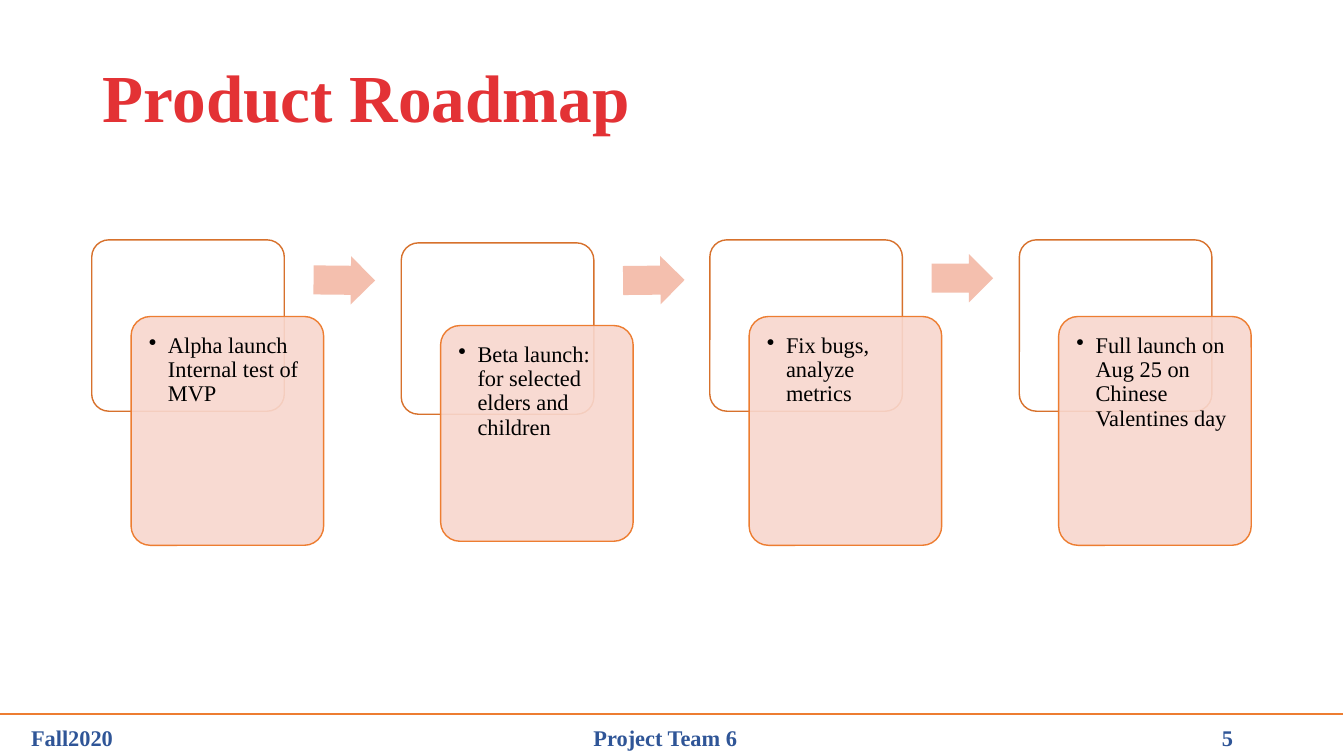
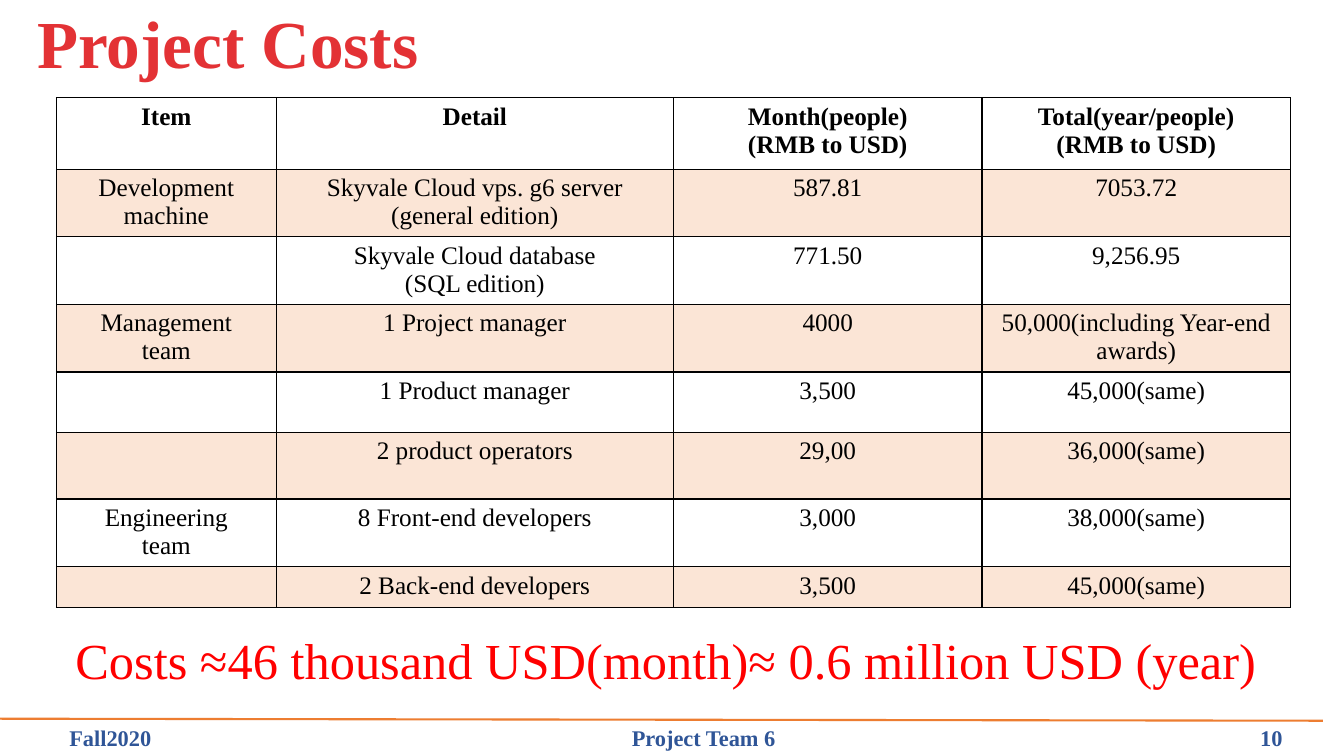
from dataclasses import dataclass

from lxml import etree
from pptx import Presentation
from pptx import util as u
from pptx.dml import color
from pptx.enum import shapes, text
from pptx.oxml import ns

PX = 9144


@dataclass(frozen=True)
class Theme:
    font: str = "Times New Roman"
    title: str = "E33235"
    accent: str = "ED7D31"
    back_line: str = "D7712C"
    card: str = "F8D7CE"
    arrow: str = "F4BFAE"
    footer: str = "2F5597"
    band: str = "FBE5D6"
    emphasis: str = "FF0000"
    ink: str = "000000"
    paper: str = "FFFFFF"
    title_size: int = 48
    total_size: int = 36
    table_size: int = 18
    small_size: int = 16


THEME = Theme()

PHASES = [
    "Alpha launch Internal test of MVP",
    "Beta launch: for selected elders and children",
    "Fix bugs, analyze metrics",
    "Full launch on Aug 25 on Chinese Valentines day",
]
BACK_TOPS = [238, 241, 238, 238]
FRONT_SPANS = [(314, 227), (323, 214), (314, 227), (314, 227)]
ARROWS = [(254, 0.6), (254, -0.6), (252, 0)]

COST_COLUMNS = [218, 394, 306, 306]
COST_HEIGHTS = [71, 65, 65, 65, 60, 66, 65, 41]
COSTS = [
    ["Item", "Detail", "Month(people)\n(RMB to USD)", "Total(year/people)\n(RMB to USD)"],
    ["Development\nmachine", "Skyvale Cloud vps. g6 server\n(general edition)", "587.81", "7053.72"],
    ["", "Skyvale Cloud database\n(SQL edition)", "771.50", "9,256.95"],
    ["Management\nteam", "1 Project manager", "4000", "50,000(including Year-end awards)"],
    ["", "1 Product manager", "3,500", "45,000(same)"],
    ["", "2 product operators", "29,00", "36,000(same)"],
    ["Engineering\nteam", "8 Front-end developers", "3,000", "38,000(same)"],
    ["", "2 Back-end developers", "3,500", "45,000(same)"],
]


def px(*lengths):
    return [u.Emu(length * PX) for length in lengths]


def rgb(value):
    return color.RGBColor.from_string(value)


def child(parent, tag, **attributes):
    element = etree.SubElement(parent, ns.qn(tag))
    for key, value in attributes.items():
        element.set(key, str(value))
    return element


def add_run(paragraph, words, size, ink, bold=False):
    run = paragraph.add_run()
    run.text = words
    run.font.name = THEME.font
    run.font.size = u.Pt(size)
    run.font.bold = bold
    run.font.color.rgb = rgb(ink)


def add_title(slide, words, left, top):
    title = slide.shapes.title
    title.left, title.top, title.width, title.height = px(left, top, 1150, 119)
    frame = title.text_frame
    frame.auto_size = text.MSO_AUTO_SIZE.NONE
    frame.vertical_anchor = text.MSO_ANCHOR.MIDDLE
    paragraph = frame.paragraphs[0]
    paragraph.alignment = text.PP_ALIGN.LEFT
    paragraph.line_spacing = 0.9
    add_run(paragraph, words, THEME.title_size, THEME.title, True)


def add_text_box(slide, box, anchor):
    frame = slide.shapes.add_textbox(*px(*box)).text_frame
    frame.word_wrap = True
    frame.vertical_anchor = anchor
    return frame.paragraphs[0]


def add_footer(slide, left, number, rule):
    line = slide.shapes.add_connector(shapes.MSO_CONNECTOR.STRAIGHT, *px(*rule))
    line.line.color.rgb = rgb(THEME.accent)
    line.line.width = u.Pt(1.5)
    child(line._element.spPr, "a:effectLst")
    paragraph = add_text_box(slide, (left, 694, 1260, 56), text.MSO_ANCHOR.BOTTOM)
    tabs = child(paragraph._p.get_or_add_pPr(), "a:tabLst")
    for position, align in ((629, "ctr"), (1181, "l")):
        child(tabs, "a:tab", pos=position * PX, algn=align)
    add_run(paragraph, f"Fall2020\tProject Team 6\t{number}", THEME.small_size, THEME.footer, True)


def add_block(slide, kind, box, fill, adjustments, outline=None):
    block = slide.shapes.add_shape(kind, *px(*box))
    block.shadow.inherit = False
    for index, value in enumerate(adjustments):
        block.adjustments[index] = value
    block.fill.solid()
    block.fill.fore_color.rgb = rgb(fill)
    if outline:
        block.line.color.rgb = rgb(outline)
        block.line.width = u.Pt(1)
    else:
        block.line.fill.background()
    return block


def add_card(slide, box, words):
    card = add_block(slide, shapes.MSO_SHAPE.ROUNDED_RECTANGLE, box, THEME.card, [0.1], THEME.accent)
    fill_color = card._element.spPr.find(ns.qn("a:solidFill"))[0]
    child(fill_color, "a:alpha", val=90000)
    frame = card.text_frame
    frame.word_wrap = True
    frame.vertical_anchor = text.MSO_ANCHOR.TOP
    frame.margin_left, frame.margin_top, frame.margin_right, frame.margin_bottom = px(12, 12, 12, 12)
    paragraph = frame.paragraphs[0]
    properties = paragraph._p.get_or_add_pPr()
    properties.set("marL", str(19 * PX))
    properties.set("indent", str(-19 * PX))
    child(properties, "a:buChar", char="•")
    paragraph.alignment = text.PP_ALIGN.LEFT
    paragraph.line_spacing = 0.9
    add_run(paragraph, words, THEME.small_size, THEME.ink)


def add_phase(slide, index, words):
    left = round(91 + index * 920 / 3)
    back = (left, BACK_TOPS[index], 191, 170)
    add_block(slide, shapes.MSO_SHAPE.ROUNDED_RECTANGLE, back, THEME.paper, [0.1], THEME.back_line)
    top, height = FRONT_SPANS[index]
    add_card(slide, (left + 39, top, 191, height), words)
    if index < len(ARROWS):
        arrow_top, turn = ARROWS[index]
        arrow = add_block(slide, shapes.MSO_SHAPE.RIGHT_ARROW, (left + 220, arrow_top, 61, 48),
                          THEME.arrow, [0.6, 0.5])
        arrow.rotation = turn


def format_cell(cell, words, row):
    properties = cell._tc.get_or_add_tcPr()
    for side in ("a:lnL", "a:lnR", "a:lnT", "a:lnB"):
        border = child(properties, side, w=u.Pt(1))
        child(child(border, "a:solidFill"), "a:srgbClr", val=THEME.ink)
    cell.fill.solid()
    cell.fill.fore_color.rgb = rgb(THEME.band if row % 2 else THEME.paper)
    cell.margin_top, cell.margin_bottom = px(5, 2)
    if not words:
        return
    frame = cell.text_frame
    for index, line in enumerate(words.split("\n")):
        paragraph = frame.add_paragraph() if index else frame.paragraphs[0]
        paragraph.alignment = text.PP_ALIGN.CENTER
        add_run(paragraph, line, THEME.table_size, THEME.ink, row == 0)


def add_cost_table(slide, left, top):
    box = px(left, top, sum(COST_COLUMNS), sum(COST_HEIGHTS))
    costs = slide.shapes.add_table(len(COSTS), len(COST_COLUMNS), *box).table
    costs.first_row = costs.horz_banding = False
    for column, width in zip(costs.columns, px(*COST_COLUMNS)):
        column.width = width
    for row, height in zip(costs.rows, px(*COST_HEIGHTS)):
        row.height = height
    for row, entries in enumerate(COSTS):
        for column, words in enumerate(entries):
            format_cell(costs.cell(row, column), words, row)


def build_roadmap(slide):
    add_title(slide, "Product Roadmap", 92, 40)
    add_footer(slide, 21, 5, (0, 708, 1332, 708))
    for index, words in enumerate(PHASES):
        add_phase(slide, index, words)


def build_costs(slide):
    add_title(slide, "Project Costs", 27, -13)
    add_footer(slide, 59, 10, (0, 713, 1312, 715))
    add_cost_table(slide, 56, 97)
    total = add_text_box(slide, (65, 598, 1257, 119), text.MSO_ANCHOR.MIDDLE)
    total.line_spacing = 0.9
    add_run(total, "Costs ≈46 thousand USD(month)≈ 0.6 million USD (year)",
            THEME.total_size, THEME.emphasis)


def main():
    deck = Presentation()
    deck.slide_width, deck.slide_height = px(1333, 750)
    for build in (build_roadmap, build_costs):
        build(deck.slides.add_slide(deck.slide_layouts[5]))
    deck.save("out.pptx")


if __name__ == "__main__":
    main()
